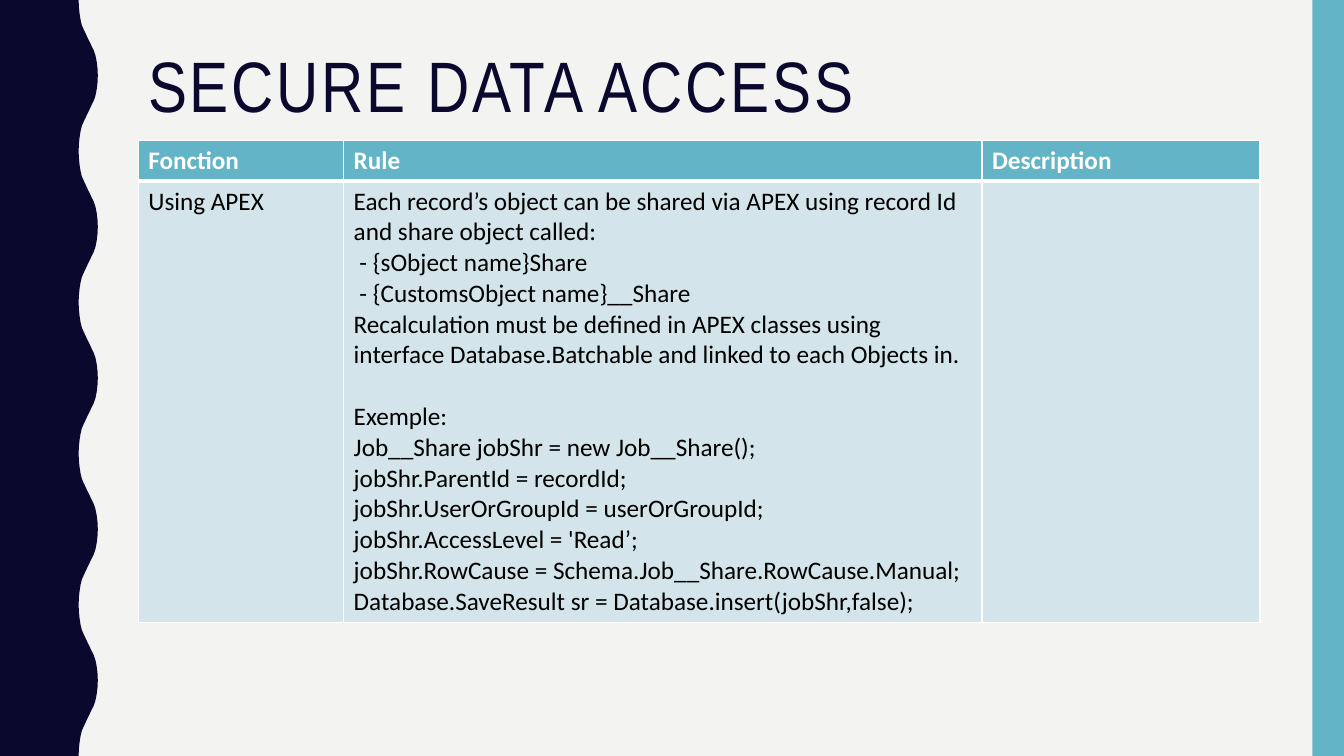
from lxml import etree
from pptx import Presentation
from pptx import util as u
from pptx.dml.color import RGBColor
from pptx.enum import shapes, text
from pptx.oxml import ns

NAVY, TEAL, PALE = "0B082E", "62B4C6", "D3E5EA"
WHITE, BLACK, PAPER = "FFFFFF", "000000", "F3F3F2"
WIDTH, HEIGHT = 960, 540

# One half wave of the left band's edge, in points, from trough to crest
HALF_WAVE = 54
EDGE = [(56.2, 0), (56.4, 5), (56.9, 10), (57.6, 14.4), (58.5, 18),
        (59.8, 21), (61.2, 24), (62.6, 27), (64.1, 30), (65.5, 33),
        (67, 36), (68.2, 39.6), (69.1, 44), (69.7, 49), (69.9, 54)]

HEADINGS = ["Fonction", "Rule", "Description"]
RULES = [
    "Each record’s object can be shared via APEX using record Id and share object called:",
    " - {sObject name}Share",
    " - {CustomsObject name}__Share",
    "Recalculation must be defined in APEX classes using interface\u00a0Database.Batchable and linked to each Objects in.",
]
EXAMPLE = [
    "Exemple:",
    "Job__Share jobShr = new Job__Share();",
    "jobShr.ParentId = recordId;",
    "jobShr.UserOrGroupId = userOrGroupId;",
    "jobShr.AccessLevel = 'Read’;",
    "jobShr.RowCause = Schema.Job__Share.RowCause.Manual;",
    "Database.SaveResult sr = Database.insert(jobShr,false);",
]


def color(value):
    return RGBColor.from_string(value)


def set_values(target, values):
    for name, value in values.items():
        setattr(target, name, value)


def paint(target, value):
    target.fill.solid()
    target.fill.fore_color.rgb = color(value)


def finish_shape(shape, value):
    paint(shape, value)
    shape.line.fill.background()
    shape.shadow.inherit = False


def add_wave_band(slide):
    """Fill the left edge up to a line that swings between trough and crest."""
    points = [(0, 0)]
    for number in range(HEIGHT // HALF_WAVE):
        top = number * HALF_WAVE
        if number % 2:
            points += [(x, top + HALF_WAVE - y) for x, y in reversed(EDGE)]
        else:
            points += [(x, top + y) for x, y in EDGE]
    points.append((0, HEIGHT))
    corners = [(u.Pt(x), u.Pt(y)) for x, y in points]
    builder = slide.shapes.build_freeform(*corners[0], scale=1.0)
    builder.add_line_segments(corners[1:], close=True)
    finish_shape(builder.convert_to_shape(), NAVY)


def add_side_bar(slide):
    left = 937.5
    bar = slide.shapes.add_shape(shapes.MSO_SHAPE.RECTANGLE, u.Pt(left), 0,
                                 u.Pt(WIDTH - left), u.Pt(HEIGHT))
    finish_shape(bar, TEAL)


def write_paragraph(paragraph, words, font_values, font_color):
    run = paragraph.add_run()
    run.text = words
    set_values(run.font, font_values)
    run.font.color.rgb = color(font_color)
    return run


def add_title(slide, words):
    box = slide.shapes.add_textbox(u.Pt(98.8), u.Pt(30.2), u.Pt(801), u.Pt(68))
    set_values(box.text_frame, {"word_wrap": True,
                                "vertical_anchor": text.MSO_ANCHOR.MIDDLE})
    paragraph = box.text_frame.paragraphs[0]
    paragraph.line_spacing = 0.9
    run = write_paragraph(paragraph, words,
                          {"name": "Arial Narrow", "size": u.Pt(51)}, NAVY)
    run.font._element.set("spc", "200")


def add_borders(cell, bottom):
    properties = cell._tc.get_or_add_tcPr()
    widths = {"a:lnL": 1, "a:lnR": 1, "a:lnT": 1, "a:lnB": bottom}
    for index, (tag, width) in enumerate(widths.items()):
        line = etree.Element(ns.qn(tag), w=str(u.Pt(width)))
        fill = etree.SubElement(line, ns.qn("a:solidFill"))
        etree.SubElement(fill, ns.qn("a:srgbClr"), val=WHITE)
        properties.insert(index, line)


def fill_cell(cell, lines, header):
    paint(cell, TEAL if header else PALE)
    add_borders(cell, 3 if header else 1)
    font_values = {"name": "Calibri", "size": u.Pt(18), "bold": header}
    frame = cell.text_frame
    for number, words in enumerate(lines):
        paragraph = frame.add_paragraph() if number else frame.paragraphs[0]
        write_paragraph(paragraph, words, font_values,
                        WHITE if header else BLACK)
        if words == EXAMPLE[0]:
            paragraph.space_before = u.Pt(22)


def add_rule_table(slide):
    columns, rows = [146.7, 456, 198.6], [29.2, 315]
    table = slide.shapes.add_table(len(rows), len(columns), u.Pt(98.8), u.Pt(100.2),
                                   u.Pt(sum(columns)), u.Pt(sum(rows))).table
    for column, width in zip(table.columns, columns):
        column.width = u.Pt(width)
    for row, height in zip(table.rows, rows):
        row.height = u.Pt(height)
    contents = [[[heading] for heading in HEADINGS],
                [["Using APEX"], RULES + EXAMPLE, []]]
    for row, cells in enumerate(contents):
        for column, lines in enumerate(cells):
            fill_cell(table.cell(row, column), lines, row == 0)


def main():
    presentation = Presentation()
    set_values(presentation, {"slide_width": u.Pt(WIDTH),
                              "slide_height": u.Pt(HEIGHT)})
    slide = presentation.slides.add_slide(presentation.slide_layouts[6])
    paint(slide.background, PAPER)
    add_wave_band(slide)
    add_side_bar(slide)
    add_title(slide, "SECURE DATA ACCESS")
    add_rule_table(slide)
    presentation.save("out.pptx")


if __name__ == "__main__":
    main()
